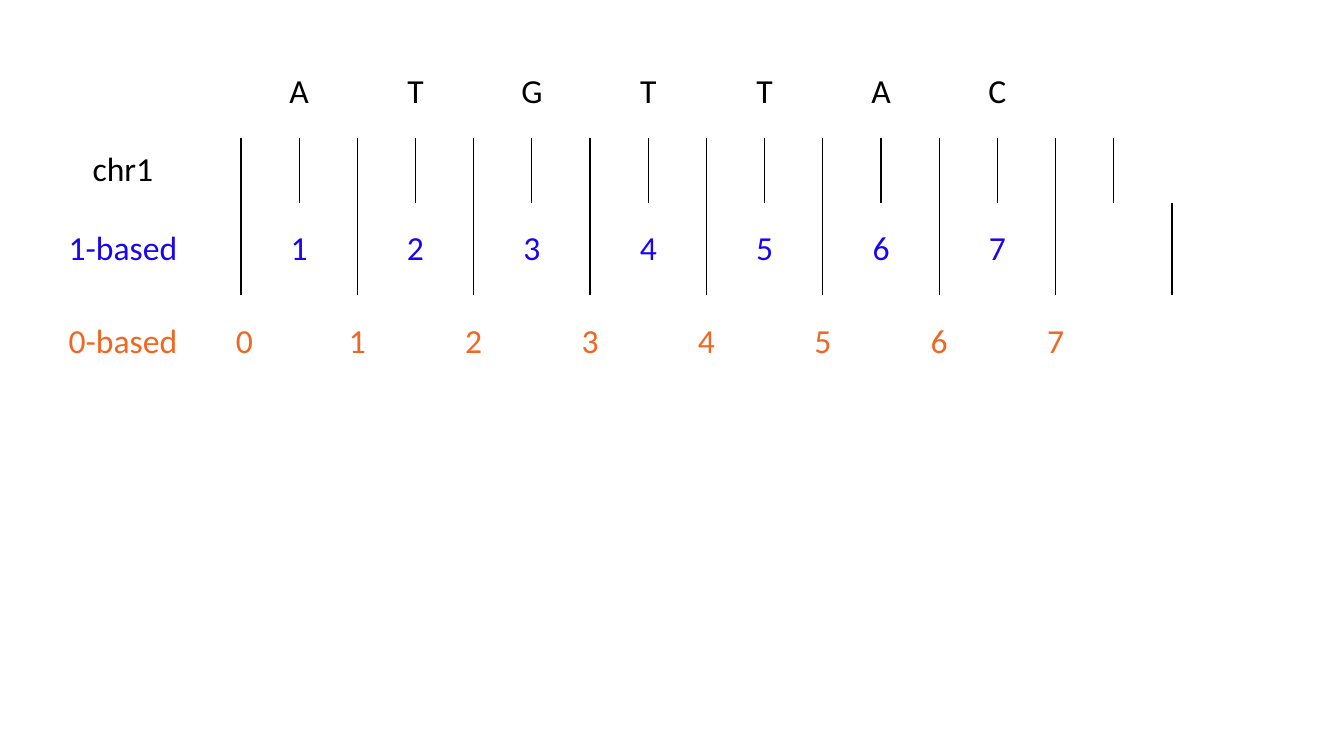
from lxml.etree import SubElement
from pptx import Presentation
from pptx.dml.color import RGBColor
from pptx.enum.text import MSO_ANCHOR as Anchor, PP_ALIGN as Align
from pptx.oxml.ns import qn
from pptx.util import Inches, Pt

BLACK = RGBColor(0x00, 0x00, 0x00)
BLUE = RGBColor(0x19, 0x05, 0xF5)
ORANGE = RGBColor(0xF0, 0x67, 0x22)
PLAIN_TABLE_STYLE = "{2D5ABB26-0587-4C30-8999-92F81FD0307C}"

SEQUENCE = "ATGTTAC"
ROW_HEIGHTS = [0.92, 0.64, 0.92, 0.92]
HALF_STEPS = 18
COLUMN_WIDTHS = [1.32, 0.51] + [10.39 / HALF_STEPS] * HALF_STEPS
LETTERS, TICKS, ONE_BASED, ZERO_BASED = range(4)
FIRST_TICK = 2
LAST_TICK = FIRST_TICK + 2 * len(SEQUENCE)


class CoordinateSlide:
    """Builds a sequence coordinate table on one slide."""

    font_name = "Calibri"
    font_size = Pt(24)

    def __init__(self, presentation):
        self.slide = presentation.slides.add_slide(presentation.slide_layouts[6])

    def add_table(self, left, top, widths, heights):
        frame = self.slide.shapes.add_table(
            len(heights), len(widths), Inches(left), Inches(top),
            Inches(sum(widths)), Inches(sum(heights)))
        self.table = frame.table
        self.table.first_row = self.table.horz_banding = False
        self.table._tbl.tblPr.find(qn("a:tableStyleId")).text = PLAIN_TABLE_STYLE
        for column, width in zip(self.table.columns, widths):
            column.width = Inches(width)
        for row, height in zip(self.table.rows, heights):
            row.height = Inches(height)
        for cell in self.table.iter_cells():
            cell.fill.background()

    def merge_pairs(self, row, first, last):
        for column in range(first, last, 2):
            self.table.cell(row, column).merge(self.table.cell(row, column + 1))

    def add_label(self, row, column, text, color=BLACK):
        cell = self.table.cell(row, column)
        cell.vertical_anchor = Anchor.MIDDLE
        cell.text_frame.text = text
        paragraph = cell.text_frame.paragraphs[0]
        paragraph.alignment = Align.CENTER
        font = paragraph.runs[0].font
        font.name, font.size = self.font_name, self.font_size
        font.color.rgb = color

    def add_border(self, row, column, side):
        properties = self.table.cell(row, column)._tc.get_or_add_tcPr()
        line = SubElement(properties, qn(f"a:ln{side}"), w=str(Pt(1)))
        fill = SubElement(line, qn("a:solidFill"))
        SubElement(fill, qn("a:srgbClr"), val=str(BLACK))
        properties.insert(0, line)

    def add_ticks(self, row, step):
        for column in range(LAST_TICK, FIRST_TICK - 1, -step):
            neighbour = column - step if column > FIRST_TICK else column - 1
            self.add_border(row, neighbour, "R")
            self.add_border(row, column, "L")


def main():
    presentation = Presentation()
    presentation.slide_width = Inches(13.33)
    presentation.slide_height = Inches(7.5)

    page = CoordinateSlide(presentation)
    page.add_table(0.56, 0.45, COLUMN_WIDTHS, ROW_HEIGHTS)
    page.merge_pairs(LETTERS, 0, len(COLUMN_WIDTHS))
    page.merge_pairs(ONE_BASED, FIRST_TICK, len(COLUMN_WIDTHS))
    page.merge_pairs(ZERO_BASED, 1, LAST_TICK)
    page.add_ticks(TICKS, 1)
    page.add_ticks(ONE_BASED, 2)

    page.add_label(TICKS, 0, "chr1")
    page.add_label(ONE_BASED, 0, "1-based", BLUE)
    page.add_label(ZERO_BASED, 0, "0-based", ORANGE)
    for index, letter in enumerate(SEQUENCE):
        column = FIRST_TICK + 2 * index
        page.add_label(LETTERS, column, letter)
        page.add_label(ONE_BASED, column, str(index + 1), BLUE)
    for index in range(len(SEQUENCE) + 1):
        page.add_label(ZERO_BASED, 1 + 2 * index, str(index), ORANGE)

    presentation.save("out.pptx")


if __name__ == "__main__":
    main()
